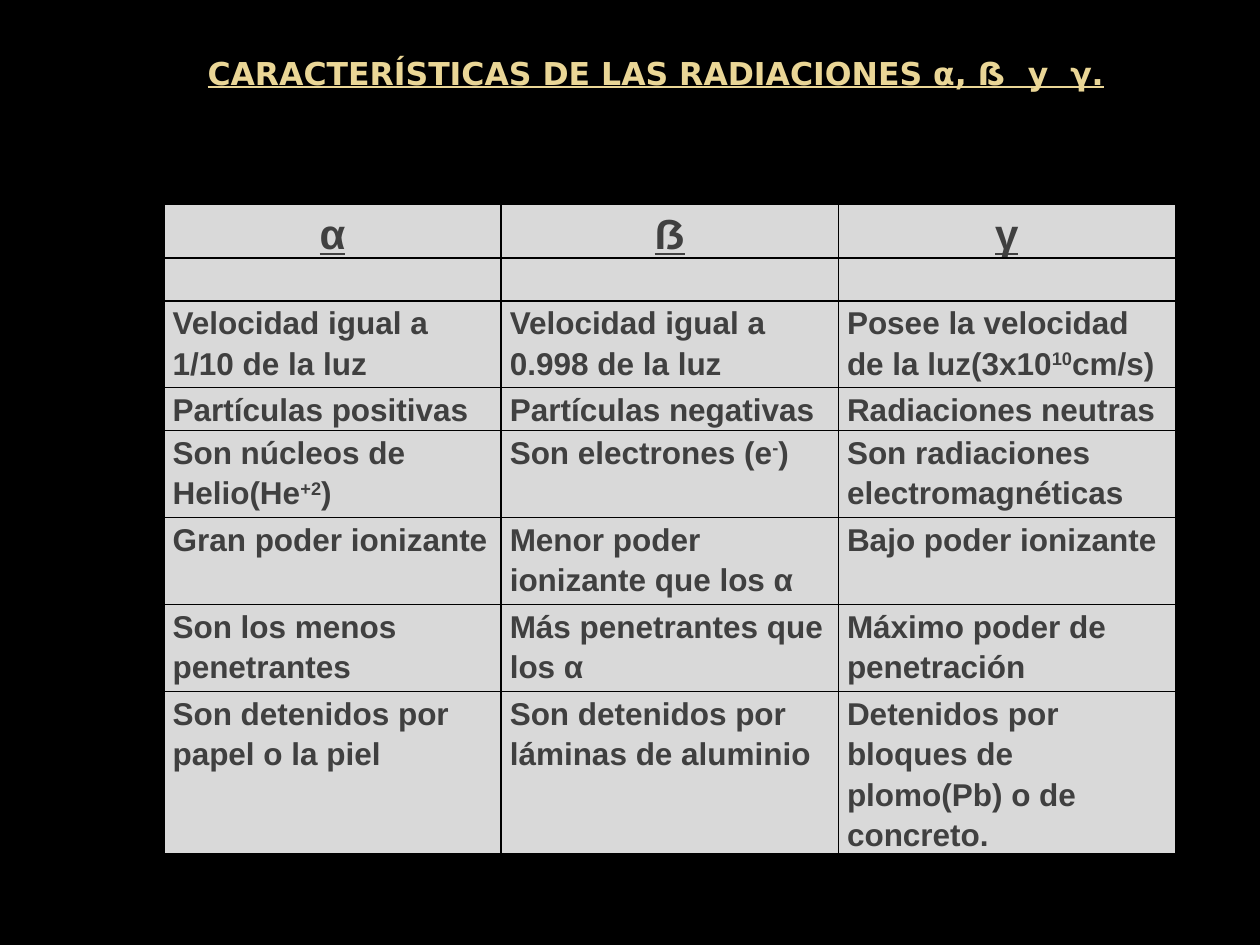
from dataclasses import dataclass

from lxml.etree import SubElement
from pptx import Presentation
from pptx.dml.color import RGBColor as RGB
from pptx.enum.text import MSO_ANCHOR as Anchor, PP_ALIGN as Align
from pptx.oxml.ns import qn
from pptx.util import Inches, Pt


@dataclass(frozen=True)
class Theme:
    background: RGB = RGB(0, 0, 0)
    title: RGB = RGB(0xEA, 0xD6, 0x96)
    text: RGB = RGB(0x40, 0x40, 0x40)
    cell: RGB = RGB(0xD9, 0xD9, 0xD9)
    border: str = "000000"
    title_font: str = "DejaVu Sans"
    body_font: str = "Arial"
    body_size: int = 18
    header_size: int = 24
    border_width: int = 1


THEME = Theme()
TITLE = "CARACTERÍSTICAS DE LAS RADIACIONES α, ẞ  y  γ."
HEADERS = ["α", "ẞ", "γ"]
# Text between ^ marks is superscript
ROWS = [
    ["", "", ""],
    ["Velocidad igual a 1/10 de la luz", "Velocidad igual a 0.998 de la luz",
     "Posee la velocidad de la luz(3x10^10^cm/s)"],
    ["Partículas positivas", "Partículas negativas", "Radiaciones neutras"],
    ["Son núcleos de Helio(He^+2^)", "Son electrones (e^-^)",
     "Son radiaciones electromagnéticas"],
    ["Gran poder ionizante", "Menor poder ionizante que los α",
     "Bajo poder ionizante"],
    ["Son los menos penetrantes", "Más penetrantes que los α",
     "Máximo poder de penetración"],
    ["Son detenidos por papel o la piel",
     "Son detenidos por láminas de aluminio",
     "Detenidos por bloques de plomo(Pb) o de concreto."],
]
ROW_HEIGHTS = [0.4, 0.34, 0.69, 0.34, 0.69, 0.69, 0.69, 1.03]


def write(tf, text, font=THEME.body_font, size=THEME.body_size,
          color=THEME.text, underline=False, align=Align.LEFT, spacing=1.0):
    p = tf.paragraphs[0]
    p.alignment, p.line_spacing = align, spacing
    if not text:
        # An empty cell keeps the body size for its line height
        SubElement(p._p, qn("a:endParaRPr"), sz=str(size * 100))
        return
    for i, part in enumerate(text.split("^")):
        r = p.add_run()
        r.text = part
        f = r.font
        f.name, f.size, f.bold, f.underline = font, Pt(size), True, underline
        f.color.rgb = color
        if i % 2:
            f._element.set("baseline", "30000")


def set_borders(cell):
    tc_pr = cell._tc.get_or_add_tcPr()
    for i, side in enumerate(("lnL", "lnR", "lnT", "lnB")):
        ln = tc_pr.makeelement(qn(f"a:{side}"),
                               {"w": str(Pt(THEME.border_width))})
        fill = SubElement(ln, qn("a:solidFill"))
        SubElement(fill, qn("a:srgbClr"), val=THEME.border)
        tc_pr.insert(i, ln)


def place_title(slide, left, top, width, height):
    sp = slide.shapes.title
    sp.left, sp.top = Inches(left), Inches(top)
    sp.width, sp.height = Inches(width), Inches(height)
    tf = sp.text_frame
    tf.word_wrap = True
    tf.vertical_anchor = Anchor.MIDDLE
    tf.margin_top, tf.margin_bottom = Inches(0.05), Inches(0.34)
    write(tf, TITLE, font=THEME.title_font, color=THEME.title,
          underline=True, align=Align.CENTER)


def place_table(slide, left, top, width):
    frame = slide.shapes.add_table(
        len(ROW_HEIGHTS), len(HEADERS), Inches(left), Inches(top),
        Inches(width), Inches(sum(ROW_HEIGHTS)))
    table = frame.table
    table.first_row = table.horz_banding = False
    for row, height in zip(table.rows, ROW_HEIGHTS):
        row.height = Inches(height)
    for i, texts in enumerate([HEADERS] + ROWS):
        style = {} if i else {"size": THEME.header_size, "underline": True,
                              "align": Align.CENTER}
        for j, text in enumerate(texts):
            cell = table.cell(i, j)
            cell.margin_left = cell.margin_right = Inches(0.07)
            cell.margin_top = cell.margin_bottom = 0
            cell.fill.solid()
            cell.fill.fore_color.rgb = THEME.cell
            set_borders(cell)
            write(cell.text_frame, text, spacing=1.15, **style)


def build_slide(prs):
    slide = prs.slides.add_slide(prs.slide_layouts[5])
    bg = slide.background.fill
    bg.solid()
    bg.fore_color.rgb = THEME.background
    place_title(slide, 0.91, 0.3, 8.59, 0.85)
    place_table(slide, 1.3, 1.62, 8.03)


prs = Presentation()
prs.slide_width, prs.slide_height = Inches(10), Inches(7.5)
build_slide(prs)
prs.save("out.pptx")
